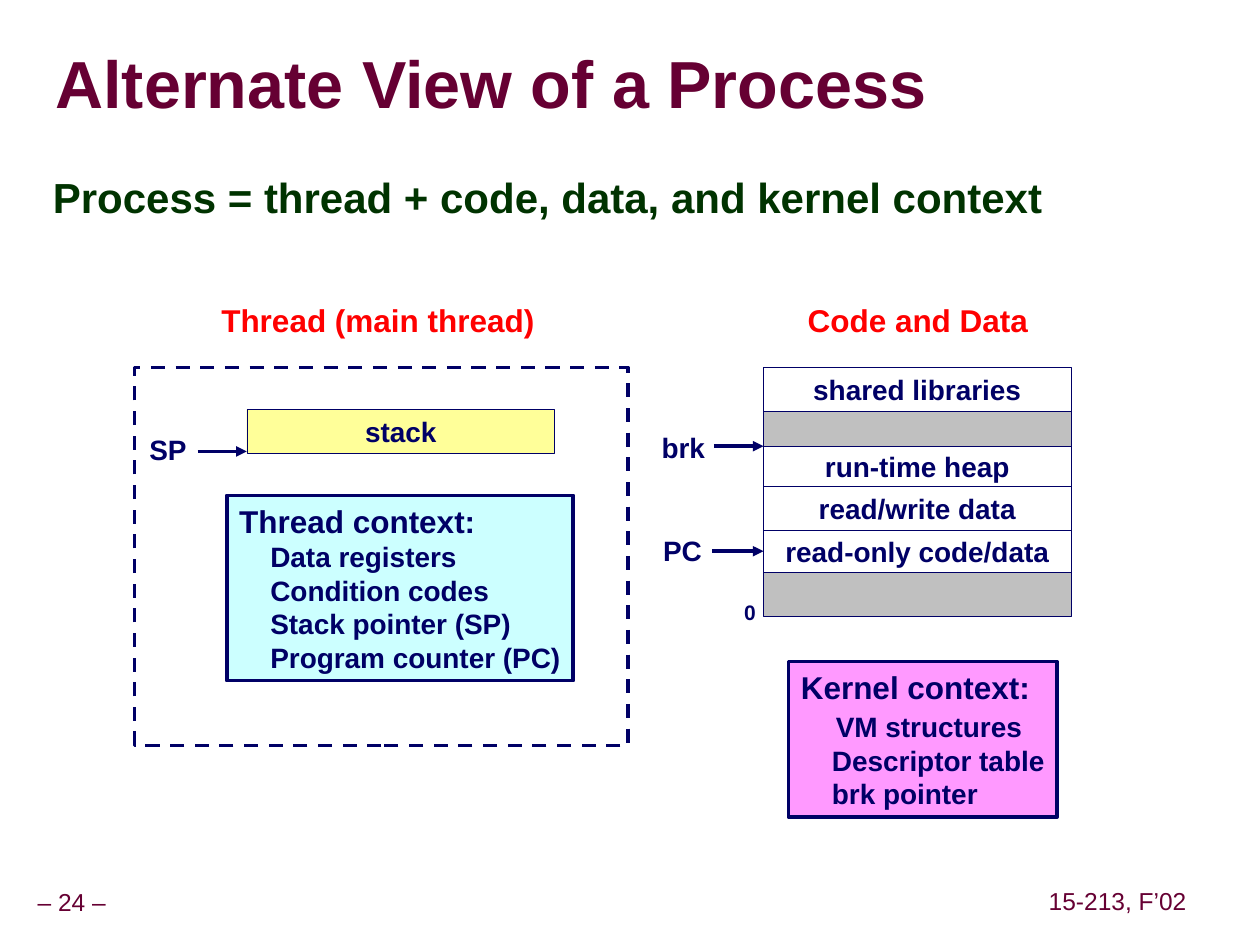
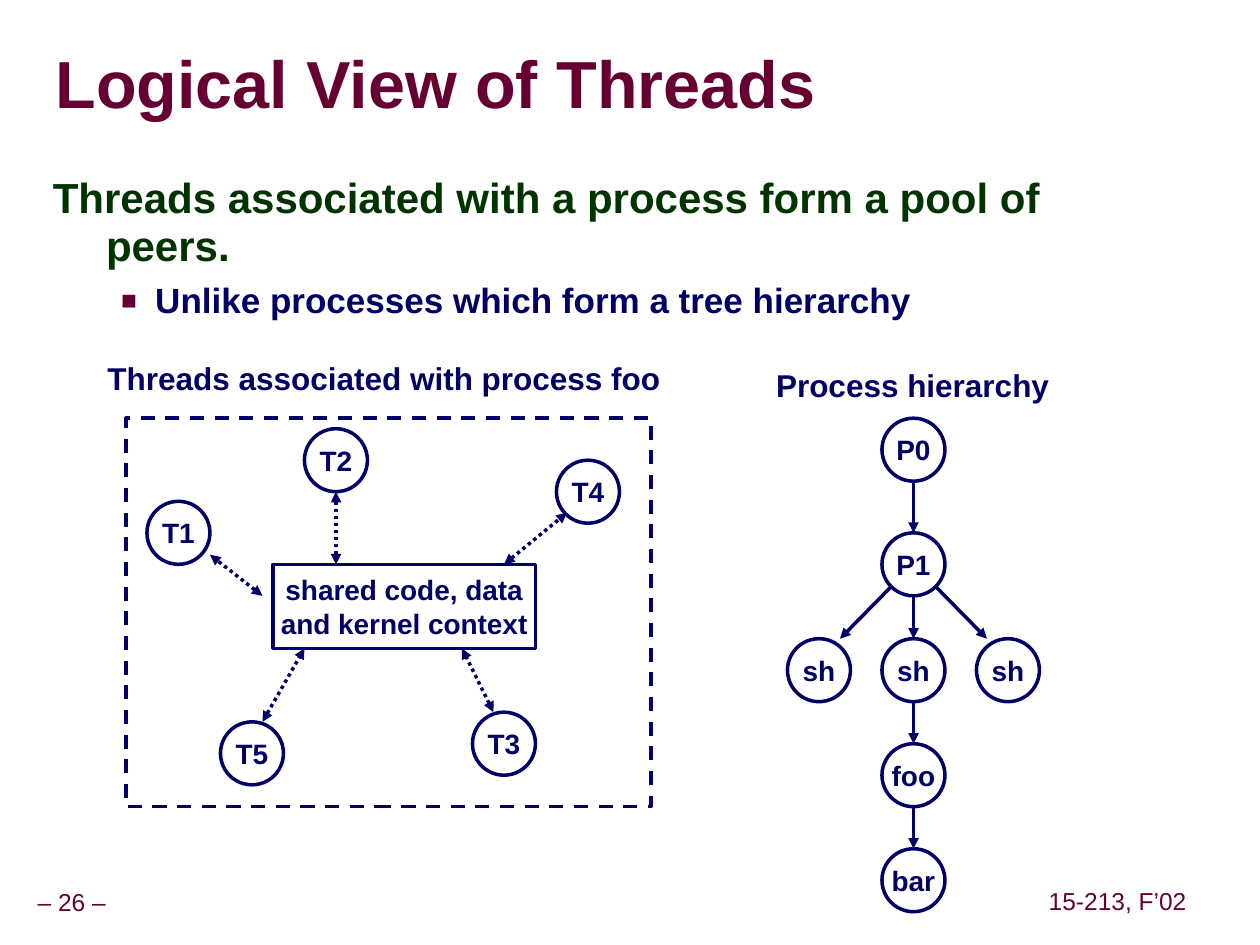
from dataclasses import dataclass
from itertools import pairwise

from lxml import etree
from pptx import Presentation
from pptx.dml.color import RGBColor
from pptx.enum.dml import MSO_LINE
from pptx.enum.shapes import MSO_CONNECTOR, MSO_SHAPE
from pptx.enum.text import MSO_ANCHOR, MSO_AUTO_SIZE, PP_ALIGN
from pptx.oxml.ns import qn
from pptx.util import Pt

RECT, OVAL = MSO_SHAPE.RECTANGLE, MSO_SHAPE.OVAL
STRAIGHT = MSO_CONNECTOR.STRAIGHT
DASH, DOT = MSO_LINE.DASH, MSO_LINE.ROUND_DOT
LEFT, CENTER = PP_ALIGN.LEFT, PP_ALIGN.CENTER
TOP, MIDDLE = MSO_ANCHOR.TOP, MSO_ANCHOR.MIDDLE
FIXED = MSO_AUTO_SIZE.NONE
LEFT_SIDE = 1


@dataclass(frozen=True)
class Theme:
    """Colours, font and type sizes of the deck."""
    font: str = "Arial"
    wine: str = "660033"
    green: str = "003300"
    navy: str = "000066"
    red: str = "FF0000"
    white: str = "FFFFFF"
    gray: str = "C0C0C0"
    cyan: str = "CCFFFF"
    yellow: str = "FFFF99"
    pink: str = "FF99FF"
    shade: str = "969696"
    title: int = 38
    lead: int = 24
    point: int = 20
    head: int = 18
    label: int = 16
    foot: int = 14
    tiny: int = 12
    thin: float = 0.25
    thick: float = 2


THEME = Theme()


def rgb(code):
    """Turn a hex code into a colour."""
    return RGBColor.from_string(code)


def style(para, size, color, bold=True, align=LEFT):
    """Format one paragraph and its runs."""
    para.alignment = align
    for run in para.runs:
        font = run.font
        font.name, font.size, font.bold = THEME.font, Pt(size), bold
        font.color.rgb = rgb(color)


def place(shape, box):
    """Move and size a shape."""
    shape.left, shape.top, shape.width, shape.height = map(Pt, box)


def setup(frame, anchor, wrap, insets):
    """Set how a text frame holds its text."""
    frame.auto_size = FIXED
    frame.word_wrap = wrap
    frame.vertical_anchor = anchor
    (frame.margin_left, frame.margin_top,
     frame.margin_right, frame.margin_bottom) = map(Pt, insets)


def write(shape, text, size, color=THEME.navy, bold=True):
    """Write centred text in a shape."""
    frame = shape.text_frame
    setup(frame, MIDDLE, False, (7.2, 3.6, 7.2, 3.6))
    frame.text = text
    for para in frame.paragraphs:
        style(para, size, color, bold, CENTER)


def label(slide, text, box, size=THEME.label, color=THEME.navy, bold=True):
    """Add a centred text box."""
    shape = slide.shapes.add_textbox(*map(Pt, box))
    write(shape, text, size, color, bold)


def block(slide, box, fill=None, text="", kind=RECT, width=THEME.thick):
    """Add an outlined shape with an optional fill and label."""
    shape = slide.shapes.add_shape(kind, *map(Pt, box))
    shape.shadow.inherit = False
    if fill:
        shape.fill.solid()
        shape.fill.fore_color.rgb = rgb(fill)
    else:
        shape.fill.background()
    shape.line.color.rgb = rgb(THEME.navy)
    shape.line.width = Pt(width)
    if text:
        write(shape, text, THEME.label)
    return shape


def frame(slide, box):
    """Add a dashed outline."""
    block(slide, box).line.dash_style = DASH


def node(slide, text, left, top):
    """Add a round node."""
    block(slide, (left, top, 36, 36), THEME.white, text, OVAL)


def panel(slide, box, fill, head, items):
    """Add a filled box with a heading and indented items."""
    shape = block(slide, box, fill)
    text = shape.text_frame
    setup(text, MIDDLE, True, (7.2, 3.6, 0, 3.6))
    text.text = "\n".join([head, *items])
    style(text.paragraphs[0], THEME.head, THEME.navy)
    for para in text.paragraphs[1:]:
        indent(para, 17.8, 0)
        style(para, THEME.label, THEME.navy)
    return text


def arrow(slide, start, end, double=False):
    """Add an arrow, dotted when it points both ways."""
    line = slide.shapes.add_connector(STRAIGHT, *map(Pt, (*start, *end)))
    line.line.color.rgb = rgb(THEME.navy)
    line.line.width = Pt(THEME.thick)
    if double:
        line.line.dash_style = DOT
    props = line.line._get_or_add_ln()
    for tag in ("a:headEnd", "a:tailEnd") if double else ("a:tailEnd",):
        etree.SubElement(props, qn(tag), type="triangle")
    etree.SubElement(line._element.spPr, qn("a:effectLst"))
    return line


def indent(para, left, first):
    """Set the left margin and first-line indent of a paragraph."""
    props = para._p.get_or_add_pPr()
    props.set("marL", str(Pt(left)))
    props.set("indent", str(Pt(first)))
    return props


def shadow(run):
    """Give a run a gray drop shadow."""
    effect = etree.Element(qn("a:effectLst"))
    cast = etree.SubElement(effect, qn("a:outerShdw"),
                            dist=str(Pt(4)), dir="2700000")
    etree.SubElement(cast, qn("a:srgbClr"), val=THEME.shade)
    run.font._element.find(qn("a:solidFill")).addnext(effect)


def bullet(props):
    """Add a square bullet to a paragraph."""
    color = etree.SubElement(props, qn("a:buClr"))
    etree.SubElement(color, qn("a:srgbClr"), val=THEME.wine)
    etree.SubElement(props, qn("a:buSzPct"), val="75000")
    etree.SubElement(props, qn("a:buFont"), typeface=THEME.font)
    etree.SubElement(props, qn("a:buChar"), char="■")


def begin(deck, number, title, lead, points=()):
    """Start a slide with its title, body text and footers."""
    slide = deck.slides.add_slide(deck.slide_layouts[1])
    head, body = slide.placeholders
    place(head, (31.7, 19.4, 686, 61.2))
    setup(head.text_frame, MIDDLE, True, (0, 0, 0, 0))
    head.text_frame.text = title
    para = head.text_frame.paragraphs[0]
    para.line_spacing = 0.87
    style(para, THEME.title, THEME.wine)
    shadow(para.runs[0])

    place(body, (23, 96.5, 654.5, 411))
    setup(body.text_frame, TOP, True, (7.2, 3.6, 7.2, 3.6))
    body.text_frame.text = "\n".join([lead, *points])
    first, *rest = body.text_frame.paragraphs
    etree.SubElement(indent(first, 30.4, -30.4), qn("a:buNone"))
    first.space_before = Pt(0)
    style(first, THEME.lead, THEME.green)
    for para in rest:
        para.level = 1
        bullet(indent(para, 58.5, -19.5))
        para.space_before = Pt(6.2)
        style(para, THEME.point, THEME.navy)
    for para in body.text_frame.paragraphs:
        para.line_spacing = 0.95

    label(slide, f"– {number} –", (6, 504, 70, 22),
          THEME.foot, THEME.wine, False)
    label(slide, "15-213, F’02", (595.5, 503.5, 86.4, 22),
          THEME.foot, THEME.wine, False)
    return slide


def memory(slide):
    """Stack the regions of code and data, and mark brk and PC."""
    rows = (("shared libraries", 25), ("", 20), ("run-time heap", 23),
            ("read/write data", 25), ("read-only code/data", 24), ("", 25))
    top, cells = 210, {}
    for text, height in rows:
        fill = THEME.white if text else THEME.gray
        cells[text] = block(slide, (436.3, top, 175.7, height), fill, text,
                            width=THEME.thin)
        top += height
    label(slide, "0", (418, 339, 21, 22), THEME.tiny)
    label(slide, "brk", (371, 242, 39, 27))
    arrow(slide, (408, 255), (436.3, 255))
    label(slide, "PC", (371.5, 301, 37, 27))
    link = arrow(slide, (407, 315), (436.3, 315))
    link.end_connect(cells["read-only code/data"], LEFT_SIDE)


def process(deck):
    """Build the slide on a process as a thread plus context."""
    slide = begin(deck, 24, "Alternate View of a Process",
                  "Process = thread + code, data, and kernel context")
    label(slide, "Thread (main thread)", (119.5, 168, 193, 29),
          THEME.head, THEME.red)
    label(slide, "Code and Data", (452, 168, 145, 29), THEME.head, THEME.red)
    frame(slide, (77, 210, 282, 216))
    block(slide, (141, 234, 176, 25), THEME.yellow, "stack", width=THEME.thin)
    label(slide, "SP", (78.5, 243.5, 35, 27))
    arrow(slide, (113, 258), (141, 258))
    panel(slide, (129.6, 283, 198, 106), THEME.cyan, "Thread context:",
          ("Data registers", "Condition codes", "Stack pointer (SP)",
           "Program counter (PC)"))
    memory(slide)
    text = panel(slide, (450.5, 378, 153.5, 89), THEME.pink,
                 "Kernel context:",
                 ("VM structures", "Descriptor table", "brk pointer"))
    first = text.paragraphs[1]
    indent(first, 20, 0)
    first.space_before = Pt(2)


def pool(slide):
    """Draw the threads around their shared context."""
    label(slide, "Threads associated with process foo",
          (54.5, 201.6, 330, 29), THEME.head)
    frame(slide, (72, 239, 300, 222))
    block(slide, (156, 322.5, 150, 48), THEME.white,
          "shared code, data\nand kernel context")
    threads = (("T1", (84, 286.5), (150, 340.5), (120, 317)),
               ("T2", (174, 245), (192, 322.5), (192, 281)),
               ("T3", (270, 407), (282, 407), (264, 370.5)),
               ("T4", (318, 263), (288, 322.5), (324, 293)),
               ("T5", (126, 412.5), (150, 412.5), (174, 370.5)))
    for name, spot, start, end in threads:
        node(slide, name, *spot)
        arrow(slide, start, end, double=True)


def tree(slide):
    """Draw the hierarchy of processes."""
    label(slide, "Process hierarchy", (436, 205.5, 171, 29), THEME.head)
    chain = {"P0": 239, "P1": 304.5, "sh": 365, "foo": 425, "bar": 485}
    for name, top in chain.items():
        node(slide, name, 504, top)
    for high, low in pairwise(chain.values()):
        arrow(slide, (522, high + 36), (522, low))
    for side in (-1, 1):
        node(slide, "sh", 504 + side * 54, chain["sh"])
        arrow(slide, (522 + side * 12.5, 335), (522 + side * 42, chain["sh"]))


def main():
    """Build and save the deck."""
    deck = Presentation()
    deck.slide_width, deck.slide_height = Pt(720), Pt(540)
    process(deck)
    slide = begin(deck, 26, "Logical View of Threads",
                  "Threads associated with a process form a pool of peers.",
                  ["Unlike processes which form a tree hierarchy"])
    pool(slide)
    tree(slide)
    deck.save("out.pptx")


if __name__ == "__main__":
    main()
